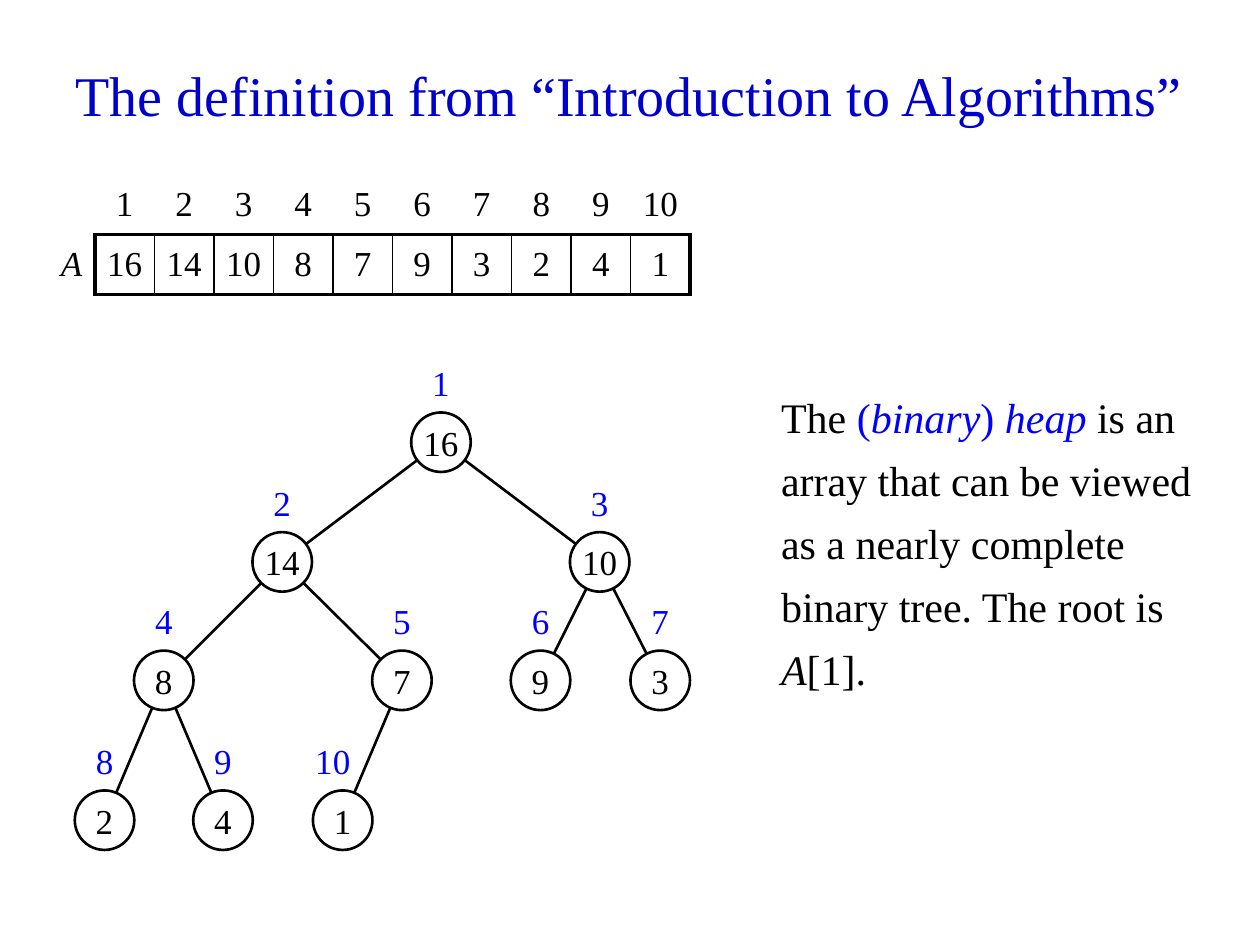
from lxml import etree
from pptx import Presentation
from pptx.dml.color import RGBColor
from pptx.enum.shapes import MSO_CONNECTOR, MSO_SHAPE
from pptx.enum.text import MSO_ANCHOR, PP_ALIGN
from pptx.oxml.ns import qn
from pptx.util import Inches, Pt

LEFT, CENTER, RIGHT = PP_ALIGN.LEFT, PP_ALIGN.CENTER, PP_ALIGN.RIGHT
TOP, MIDDLE = MSO_ANCHOR.TOP, MSO_ANCHOR.MIDDLE
OVAL, STRAIGHT = MSO_SHAPE.OVAL, MSO_CONNECTOR.STRAIGHT

FONT = "Times New Roman"
BLACK, WHITE, BLUE, TITLE_BLUE = "000000", "FFFFFF", "0000FF", "0000CC"
UNIT = 0.4725  # table cell side and node diameter
THICK, THIN, NODE_LINE = 2.25, 1, 1.5

HEAP = [16, 14, 10, 8, 7, 9, 3, 2, 4, 1]
# Node centres in heap order: the children of node i are 2i and 2i + 1
LEVELS = [
    (3.51, [3.5]),
    (4.46, [2.24, 4.76]),
    (5.4, [1.3, 3.19, 4.29, 5.24]),
    (6.51, [0.83, 1.77, 2.72]),
]
CENTERS = [(x, y) for y, row in LEVELS for x in row]


def color(hex_value):
    return RGBColor.from_string(hex_value)


def add_run(para, text, size, hex_value=BLACK, italic=False):
    span = para.add_run()
    span.text = text
    span.font.name = FONT
    span.font.size = Pt(size)
    span.font.italic = italic
    span.font.color.rgb = color(hex_value)


def add_text(page, left, top, width, height, runs, size,
             align=CENTER, anchor=MIDDLE, wrap=False, spacing=1.0):
    box = page.shapes.add_textbox(
        Inches(left), Inches(top), Inches(width), Inches(height))
    frame = box.text_frame
    frame.word_wrap = wrap
    frame.vertical_anchor = anchor
    para = frame.paragraphs[0]
    para.alignment = align
    para.line_spacing = spacing
    for text, hex_value, italic in runs:
        add_run(para, text, size, hex_value, italic)


def set_border(cell, edges):
    """Draw the given edges {side: points} and clear the other ones."""
    props = cell._tc.get_or_add_tcPr()
    for position, side in enumerate("LRTB"):
        line = etree.Element(qn(f"a:ln{side}"))
        props.insert(position, line)
        if side in edges:
            line.set("w", str(Pt(edges[side])))
            fill = etree.SubElement(line, qn("a:solidFill"))
            etree.SubElement(fill, qn("a:srgbClr"), val=BLACK)
        else:
            line.set("w", "0")
            etree.SubElement(line, qn("a:noFill"))


def fill_cell(cell, text, edges, italic=False, align=CENTER, side_margin=0.08):
    cell.fill.background()
    cell.vertical_anchor = MIDDLE
    cell.margin_left = cell.margin_right = Inches(side_margin)
    cell.margin_top = cell.margin_bottom = Inches(0.05)
    para = cell.text_frame.paragraphs[0]
    para.alignment = align
    if text:
        add_run(para, text, 20, italic=italic)
    set_border(cell, edges)


def add_array(page, left, top):
    columns = len(HEAP) + 1
    table = page.shapes.add_table(
        2, columns, Inches(left), Inches(top),
        Inches(columns * UNIT), Inches(2 * UNIT)).table
    table.first_row = table.horz_banding = False
    for part in table.columns:
        part.width = Inches(UNIT)
    for part in table.rows:
        part.height = Inches(UNIT)

    fill_cell(table.cell(0, 0), "", {})
    fill_cell(table.cell(1, 0), "A", {"R": THICK}, True, RIGHT, 0.1)
    for index, value in enumerate(HEAP, 1):
        edges = {
            "L": THICK if index == 1 else THIN,
            "R": THICK if index == len(HEAP) else THIN,
            "T": THICK,
            "B": THICK,
        }
        fill_cell(table.cell(0, index), str(index), {"B": THICK})
        fill_cell(table.cell(1, index), str(value), edges)


def add_edge(page, start, end):
    line = page.shapes.add_connector(
        STRAIGHT, *(Inches(length) for length in start + end))
    line.line.color.rgb = color(BLACK)
    line.line.width = Pt(NODE_LINE)
    etree.SubElement(line._element.spPr, qn("a:effectLst"))


def add_node(page, center, value):
    x, y = center
    node = page.shapes.add_shape(
        OVAL, Inches(x - UNIT / 2), Inches(y - UNIT / 2),
        Inches(UNIT), Inches(UNIT))
    node.shadow.inherit = False
    node.fill.solid()
    node.fill.fore_color.rgb = color(WHITE)
    node.line.color.rgb = color(BLACK)
    node.line.width = Pt(NODE_LINE)
    frame = node.text_frame
    frame.word_wrap = False
    frame.vertical_anchor = MIDDLE
    para = frame.paragraphs[0]
    para.alignment = CENTER
    add_run(para, str(value), 20)


def add_index(page, center, index):
    x, y = center
    # A two-digit index gets a wider box, extended to the left
    width = UNIT if index < 10 else 0.63
    add_text(page, x + UNIT / 2 - width, y - 1.5 * UNIT, width, UNIT,
             [(str(index), BLUE, False)], 20)


def add_tree(page):
    for child in range(2, len(HEAP) + 1):
        add_edge(page, CENTERS[child // 2 - 1], CENTERS[child - 1])
    for center, value in zip(CENTERS, HEAP):
        add_node(page, center, value)
    for index, center in enumerate(CENTERS, 1):
        add_index(page, center, index)


def main():
    deck = Presentation()
    deck.slide_width, deck.slide_height = Inches(10), Inches(7.5)
    page = deck.slides.add_slide(deck.slide_layouts[6])

    # Title
    add_text(page, 0.27, 0.28, 9.45, 0.94,
             [("The definition from “Introduction to Algorithms”",
               TITLE_BLUE, False)], 32, wrap=True)

    # Definition
    definition = [
        ("The ", BLACK, False),
        ("(", BLUE, False),
        ("binary", BLUE, True),
        (") ", BLUE, False),
        ("heap", BLUE, True),
        (" is an array that can be viewed as a nearly complete "
         "binary tree. The root is ", BLACK, False),
        ("A", BLACK, True),
        ("[1].", BLACK, False),
    ]
    add_text(page, 6.1, 2.96, 3.62, 2.52, definition, 24,
             align=LEFT, anchor=TOP, wrap=True, spacing=1.25)

    # Heap as an array and as a tree
    add_array(page, 0.28, 1.39)
    add_tree(page)

    deck.save("out.pptx")


if __name__ == "__main__":
    main()
